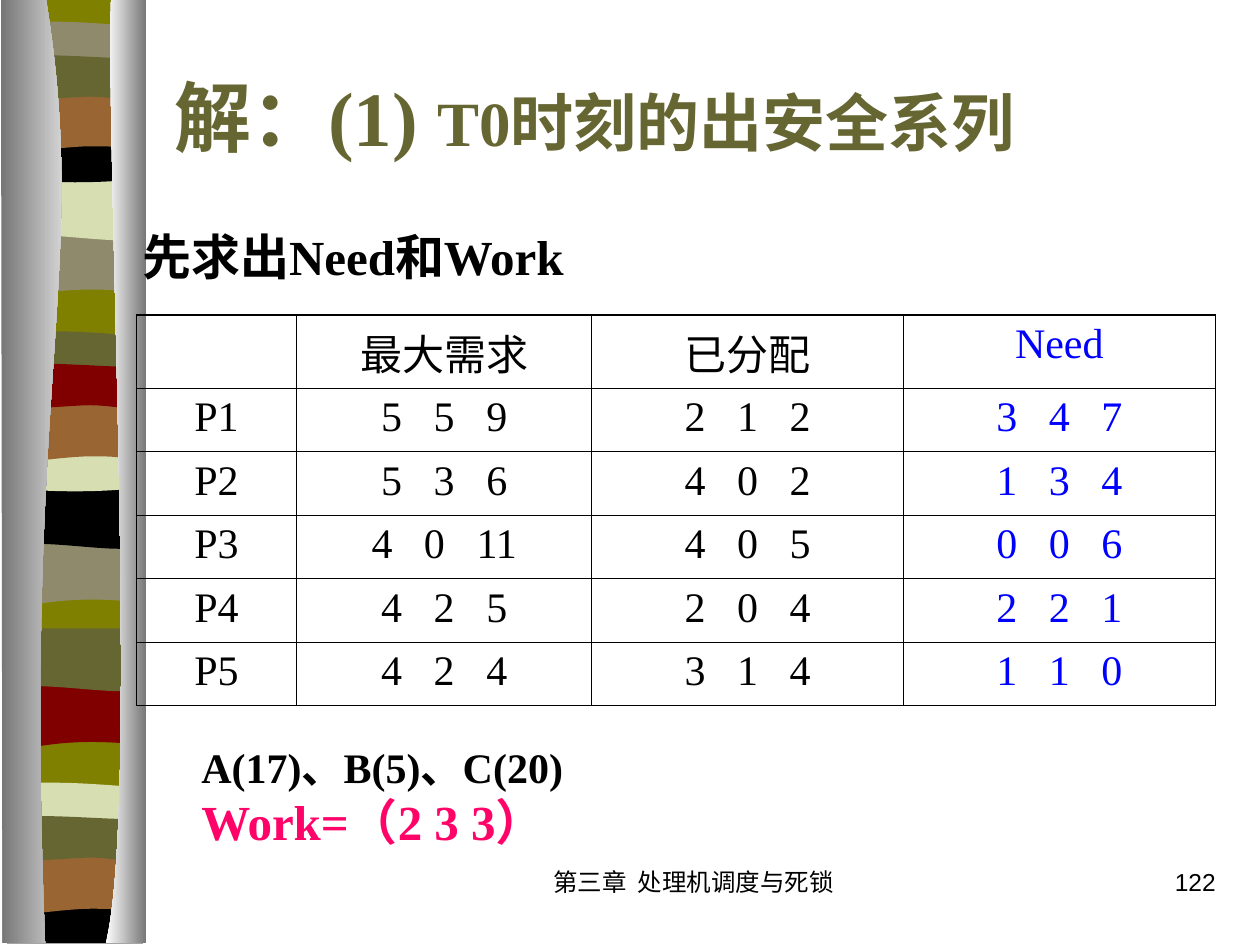
from dataclasses import dataclass

import lxml.etree
import pptx
import pptx.dml.color
import pptx.enum.text
import pptx.oxml.ns
import pptx.util

Cm = pptx.util.Cm
Pt = pptx.util.Pt
qn = pptx.oxml.ns.qn
ALIGN = pptx.enum.text.PP_ALIGN
ANCHOR = pptx.enum.text.MSO_ANCHOR

SERIF, SANS, CJK = "Times New Roman", "Arial", "Noto Sans CJK SC"
BLACK, BLUE, PINK = "000000", "0000FF", "FF0369"
OLIVE, MOSS, STONE, SAGE = "808000", "666633", "908A6C", "D6DEB2"
BROWN, MAROON, GREY, WHITE = "996633", "800000", "767676", "FFFFFF"

# Outlines in cm: two numbers are a corner, six are a cubic curve.
OUTLINES = {
    "base": [(2.74, 0), (2.74, 19), (0, 19), (0, 0)],
    "swell": [(2.74, 0), (2.74, 1.2), (0.84, 0.99, 0.46, 1.4, 0, 1.2), (0, 0)],
    "wave": [(2.74, 0), (2.74, 1.2), (2.29, 1.4, 0.84, 1.05, 0, 1.2), (0, 0)],
    "arch": [(2.74, 0.13), (2.74, 0.74), (2.29, 0.84, 0.46, 0.84, 0, 0.74), (0, 0.13),
             (0.15, 0, 0.58, 0.03, 1.04, 0.03), (1.5, 0.03, 2.39, 0.1, 2.74, 0.13)],
    "bowl": [(2.74, 0), (2.74, 0.83), (2.29, 0.97, 0.46, 0.97, 0, 0.83), (0, 0),
             (1.68, 0.13, 2.16, 0, 2.74, 0)],
    "dome": [(2.74, 0), (2.74, 1.2), (2.31, 1.07, 2.13, 1.07, 1.68, 1.07),
             (1.22, 1.07, 0.41, 1.2, 0, 1.2), (0, 0)],
    "ribbon": [(2.74, 0.13), (2.74, 0.91), (2.57, 1.04, 2.13, 0.91, 1.68, 0.91),
               (1.22, 0.91, 0.28, 1.04, 0, 0.91), (0, 0.13),
               (0.38, 0, 1.85, 0.13, 2.31, 0.13), (2.77, 0.13, 2.64, 0.13, 2.74, 0.13)],
    "foot": [(2.74, 0), (2.74, 0.94), (0, 0.94), (0, 0), (1.68, 0.13, 2.16, 0, 2.74, 0)],
    "left column": [(0.91, 0), (1.8, 5.49, 0.43, 7.52, 0.89, 19.02), (0.03, 19.02), (0, 0)],
    "right column": [(2.24, 0), (2.13, 3.18, 2.82, 16.41, 2.13, 19.02), (2.95, 19.02), (2.95, 0)],
}


@dataclass
class Band:
    outline: str
    top: float
    colors: tuple[str, ...]
    left: float = 0.14


@dataclass
class Span:
    text: str
    size: float
    color: str = BLACK
    font: str = SERIF
    bold: bool = False
    spacing: float = 0


@dataclass
class TextBox:
    left: float
    top: float
    width: float
    height: float
    paragraphs: list[list[Span]]
    align: ALIGN = ALIGN.LEFT
    anchor: ANCHOR = ANCHOR.TOP
    wrap: bool = True


BANDS = [
    Band("base", 0, (OLIVE,)),
    Band("swell", 4.7, (STONE,)), Band("wave", 3.58, (SAGE,)), Band("arch", 0.41, (STONE,)),
    Band("bowl", 2.74, (BLACK,)), Band("dome", 1.88, (BROWN,)), Band("ribbon", 1.04, (MOSS,)),
    Band("swell", 10.95, (STONE,)), Band("wave", 9.8, (BLACK,)), Band("arch", 6.65, (MOSS,)),
    Band("bowl", 8.97, (SAGE,)), Band("dome", 8.13, (BROWN,)), Band("ribbon", 7.26, (MAROON,)),
    Band("swell", 13.82, (MAROON,)), Band("wave", 12.67, (MOSS,)), Band("arch", 15.75, (SAGE,)),
    Band("foot", 18.08, (BLACK,)), Band("dome", 17.25, (BROWN,)), Band("ribbon", 16.38, (MOSS,)),
    Band("left column", 0, (GREY, WHITE), 0.02),
    Band("right column", 0, (WHITE, GREY), 0),
]

TEXTS = [
    TextBox(3.26, 1.28, 21.6, 2.12, [[
        Span("解：(1) ", 44, MOSS, bold=True), Span("T0", 36, MOSS, bold=True),
        Span("时刻的出安全系列", 36, MOSS, CJK, True)]], anchor=ANCHOR.MIDDLE),
    TextBox(3.81, 14.82, 12.06, 2.46, [
        [Span("A(17)", 24, bold=True), Span("、", 24, font=CJK, bold=True),
         Span("B(5)", 24, bold=True), Span("、", 24, font=CJK, bold=True),
         Span("C(20)", 24, bold=True)],
        [Span("Work=（2 3 3）", 28, PINK, bold=True)]]),
    TextBox(2.62, 4.45, 9.75, 1.45, [[Span("先求出Need和Work", 28, bold=True)]], wrap=False),
    TextBox(9.96, 17.35, 8.05, 1.27, [[
        Span("第三章", 14, font=SANS), Span(" ", 14, font=SANS, spacing=3),
        Span("处理机调度与死锁", 14, font=SANS)]], ALIGN.CENTER),
    TextBox(19.48, 17.35, 5.28, 1.27, [[Span("122", 14, font=SANS)]], ALIGN.RIGHT),
]

HEADINGS = ["", "最大需求", "已分配", "Need"]
PROCESSES = [
    ("P1", (5, 5, 9), (2, 1, 2), (3, 4, 7)),
    ("P2", (5, 3, 6), (4, 0, 2), (1, 3, 4)),
    ("P3", (4, 0, 11), (4, 0, 5), (0, 0, 6)),
    ("P4", (4, 2, 5), (2, 0, 4), (2, 2, 1)),
    ("P5", (4, 2, 4), (3, 1, 4), (1, 1, 0)),
]


def rgb(color: str) -> pptx.dml.color.RGBColor:
    return pptx.dml.color.RGBColor.from_string(color)


def draw_band(slide, band: Band) -> None:
    parts = OUTLINES[band.outline]
    points = [(Cm(part[i] + band.left), Cm(part[i + 1] + band.top))
              for part in parts for i in range(0, len(part), 2)]
    builder = slide.shapes.build_freeform(*points[0], scale=1.0)
    builder.add_line_segments(points[1:], close=True)
    shape = builder.convert_to_shape()
    join_curves(shape, parts)
    shape.shadow.inherit = False
    shape.line.fill.background()
    if len(band.colors) == 1:
        shape.fill.solid()
        shape.fill.fore_color.rgb = rgb(band.colors[0])
    else:
        shape.fill.gradient()
        shape.fill.gradient_angle = 0
        for stop, color in zip(shape.fill.gradient_stops, band.colors):
            stop.color.rgb = rgb(color)


def join_curves(shape, parts: list[tuple]) -> None:
    """Merge each three line segments that stand for a cubic curve."""
    segments = iter(list(shape._element.iter(qn("a:lnTo"))))
    for part in parts[1:]:
        first = next(segments)
        if len(part) == 6:
            curve = lxml.etree.Element(qn("a:cubicBezTo"))
            first.addprevious(curve)
            for segment in (first, next(segments), next(segments)):
                curve.append(segment[0])
                segment.getparent().remove(segment)


def write(para, spans: list[Span], align: ALIGN) -> None:
    para.alignment = align
    for span in spans:
        run = para.add_run()
        run.text = span.text
        run.font.size = Pt(span.size)
        run.font.bold = span.bold
        run.font.color.rgb = rgb(span.color)
        run.font.name = span.font
        properties = run.font._element
        lxml.etree.SubElement(properties, qn("a:ea"), typeface=CJK)
        if span.spacing:
            properties.set("spc", str(round(span.spacing * 100)))


def draw_text(slide, text: TextBox) -> None:
    box = slide.shapes.add_textbox(Cm(text.left), Cm(text.top), Cm(text.width), Cm(text.height))
    frame = box.text_frame
    frame.word_wrap = text.wrap
    frame.vertical_anchor = text.anchor
    for index, spans in enumerate(text.paragraphs):
        para = frame.add_paragraph() if index else frame.paragraphs[0]
        write(para, spans, text.align)


def vector_spans(values: tuple[int, ...], color: str) -> list[Span]:
    """Numbers set apart by letter spacing; the last one closes the row tightly."""
    *leading, last = values
    return [Span("".join(f"{value} " for value in leading), 24, color, spacing=6),
            Span(str(last), 24, color)]


def add_border(cell, side: str, width: float) -> None:
    line = lxml.etree.SubElement(cell._tc.get_or_add_tcPr(), qn(f"a:ln{side}"), w=str(Pt(width)))
    fill = lxml.etree.SubElement(line, qn("a:solidFill"))
    lxml.etree.SubElement(fill, qn("a:srgbClr"), val=BLACK)


def draw_table(slide) -> None:
    rows = [HEADINGS, *PROCESSES]
    widths = [3.23, 5.95, 6.28, 6.29]
    heights = [1.47] + [1.28] * len(PROCESSES)
    last_row, last_column = len(rows) - 1, len(widths) - 1
    table = slide.shapes.add_table(len(rows), len(widths), Cm(2.75), Cm(6.35),
                                   Cm(sum(widths)), Cm(sum(heights))).table
    table.first_row = table.horz_banding = False
    for column, width in zip(table.columns, widths):
        column.width = Cm(width)
    for r, row in enumerate(rows):
        table.rows[r].height = Cm(heights[r])
        for c, value in enumerate(row):
            cell = table.cell(r, c)
            outer = {"L": c == 0, "R": c == last_column, "T": r == 0, "B": r == last_row}
            for side, is_outer in outer.items():
                add_border(cell, side, 1.08 if is_outer else 0.45)
            cell.fill.background()
            color = BLUE if c == last_column else BLACK
            if value:
                spans = [Span(value, 24, color)] if isinstance(value, str) else vector_spans(value, color)
                write(cell.text_frame.paragraphs[0], spans, ALIGN.CENTER)


def main() -> None:
    deck = pptx.Presentation()
    deck.slide_width, deck.slide_height = Cm(25.4), Cm(19.05)
    slide = deck.slides.add_slide(deck.slide_layouts[6])
    for band in BANDS:
        draw_band(slide, band)
    title, *others = TEXTS
    draw_text(slide, title)
    draw_table(slide)
    for text in others:
        draw_text(slide, text)
    deck.save("out.pptx")


if __name__ == "__main__":
    main()
